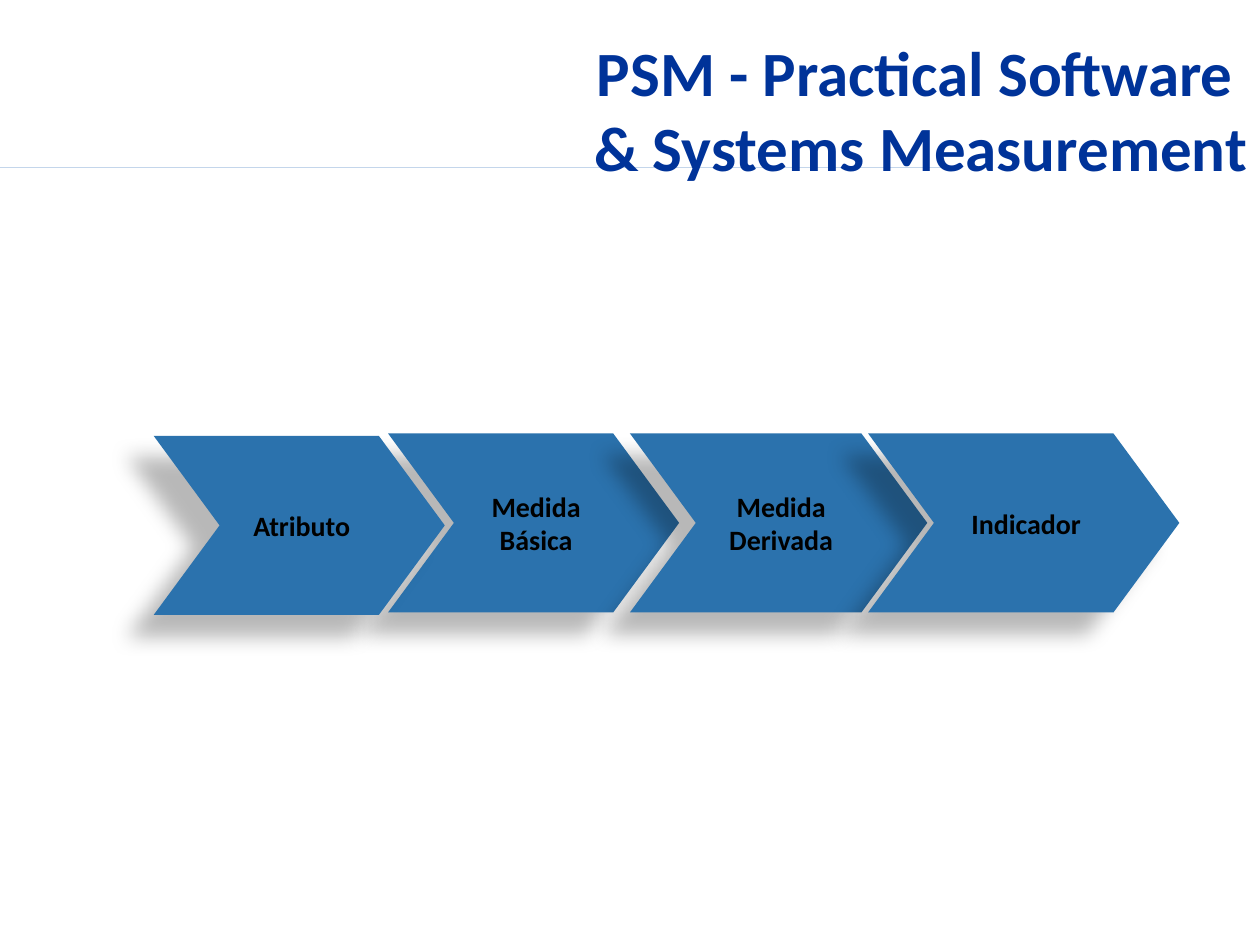
from lxml import etree
from pptx import Presentation
from pptx.dml.color import RGBColor
from pptx.enum import shapes, text
from pptx.oxml import parse_xml
from pptx.oxml.ns import nsdecls, qn
from pptx.util import Inches, Pt


def color(value):
    return RGBColor.from_string(value)


def set_font(p, size, value):
    font = p.font
    font.name, font.size, font.bold = "Calibri", Pt(size), True
    font.color.rgb = color(value)


def add_rule(s):
    """Draw the header line behind everything else."""
    line = s.shapes.add_connector(shapes.MSO_CONNECTOR.STRAIGHT,
                                  0, Inches(1.33), Inches(7.5), Inches(1.33))
    line.line.color.rgb = color("C4D6EB")
    line.line.width = Pt(0.75)
    etree.SubElement(line._element.spPr, qn("a:effectLst"))
    s.shapes._spTree.insert(2, line._element)


def set_title(s, lines):
    title = s.shapes.title
    title.left, title.top = Inches(0.67), 0
    title.width, title.height = Inches(9.33), Inches(1.73)
    tf = title.text_frame
    tf.text = "\n".join(lines)
    tf.word_wrap = True
    tf.auto_size = text.MSO_AUTO_SIZE.NONE
    tf.vertical_anchor = text.MSO_ANCHOR.MIDDLE
    for p in tf.paragraphs:
        p.alignment = text.PP_ALIGN.RIGHT
        set_font(p, 36, "003399")


def add_soft_shadow(sp):
    sp._element.spPr.append(parse_xml(
        f'<a:effectLst {nsdecls("a")}>'
        f'<a:outerShdw blurRad="{Pt(11.8)}" dist="{Pt(19.7)}" dir="{141 * 60000}" '
        'algn="ctr" rotWithShape="0">'
        '<a:srgbClr val="000000"><a:alpha val="28000"/></a:srgbClr>'
        '</a:outerShdw></a:effectLst>'))


def add_step(s, label, left, top, width):
    sp = s.shapes.add_shape(shapes.MSO_SHAPE.CHEVRON, Inches(left), Inches(top),
                            Inches(width), Inches(1.42))
    sp.adjustments[0] = 0.368
    sp.fill.solid()
    sp.fill.fore_color.rgb = color("2B72AD")
    sp.line.fill.background()
    add_soft_shadow(sp)
    tf = sp.text_frame
    tf.text = label
    tf.word_wrap = True
    tf.vertical_anchor = text.MSO_ANCHOR.MIDDLE
    tf.margin_left = Inches(0.04)
    tf.margin_top = tf.margin_right = tf.margin_bottom = 0
    p = tf.paragraphs[0]
    p.alignment = text.PP_ALIGN.CENTER
    set_font(p, 16, "000000")


def main():
    prs = Presentation()
    prs.slide_width, prs.slide_height = Inches(10), Inches(7.5)
    s = prs.slides.add_slide(prs.slide_layouts[5])
    add_rule(s)
    set_title(s, ["PSM - Practical Software ", "& Systems Measurement"])
    # The first step comes last so that it lies above its neighbour's shadow.
    for step in [("Medida Básica", 3.08, 3.44, 2.31),
                 ("Medida Derivada", 5, 3.44, 2.36),
                 ("Indicador", 6.89, 3.44, 2.47),
                 ("Atributo", 1.22, 3.46, 2.31)]:
        add_step(s, *step)
    prs.save("out.pptx")


if __name__ == "__main__":
    main()
